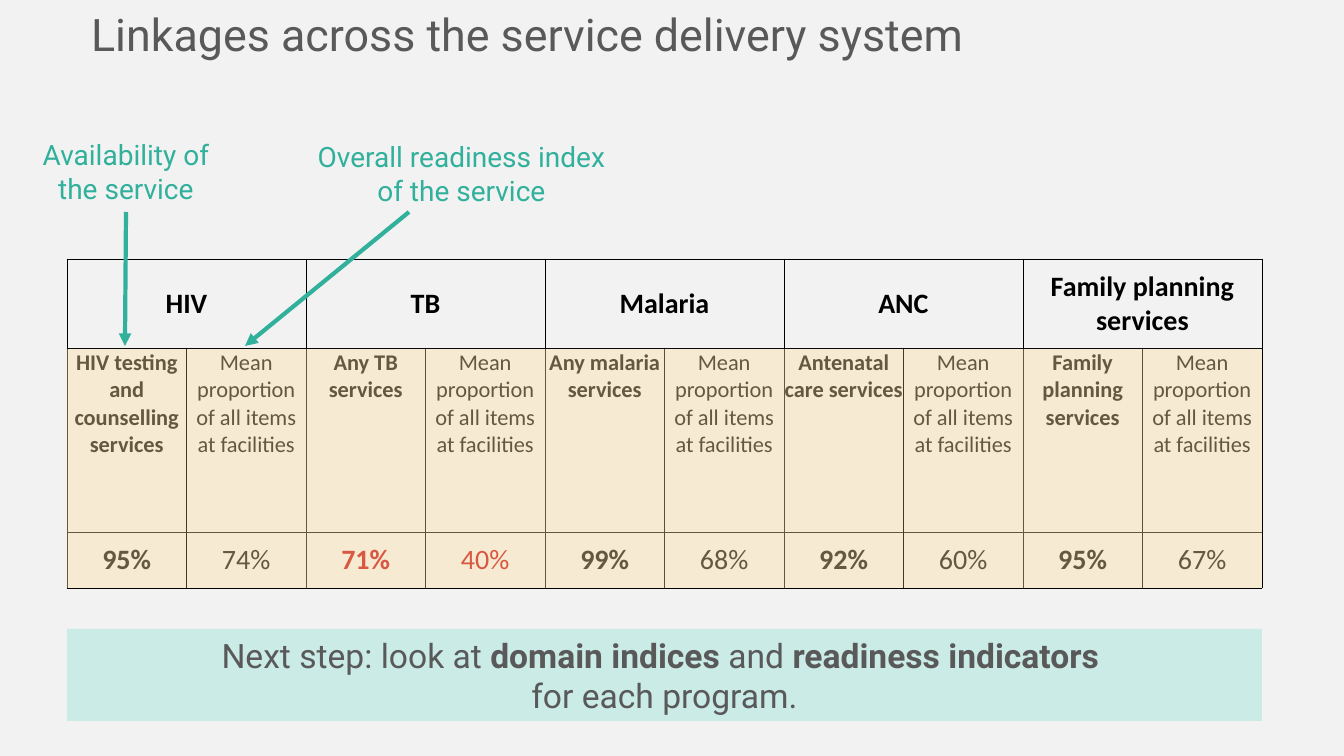
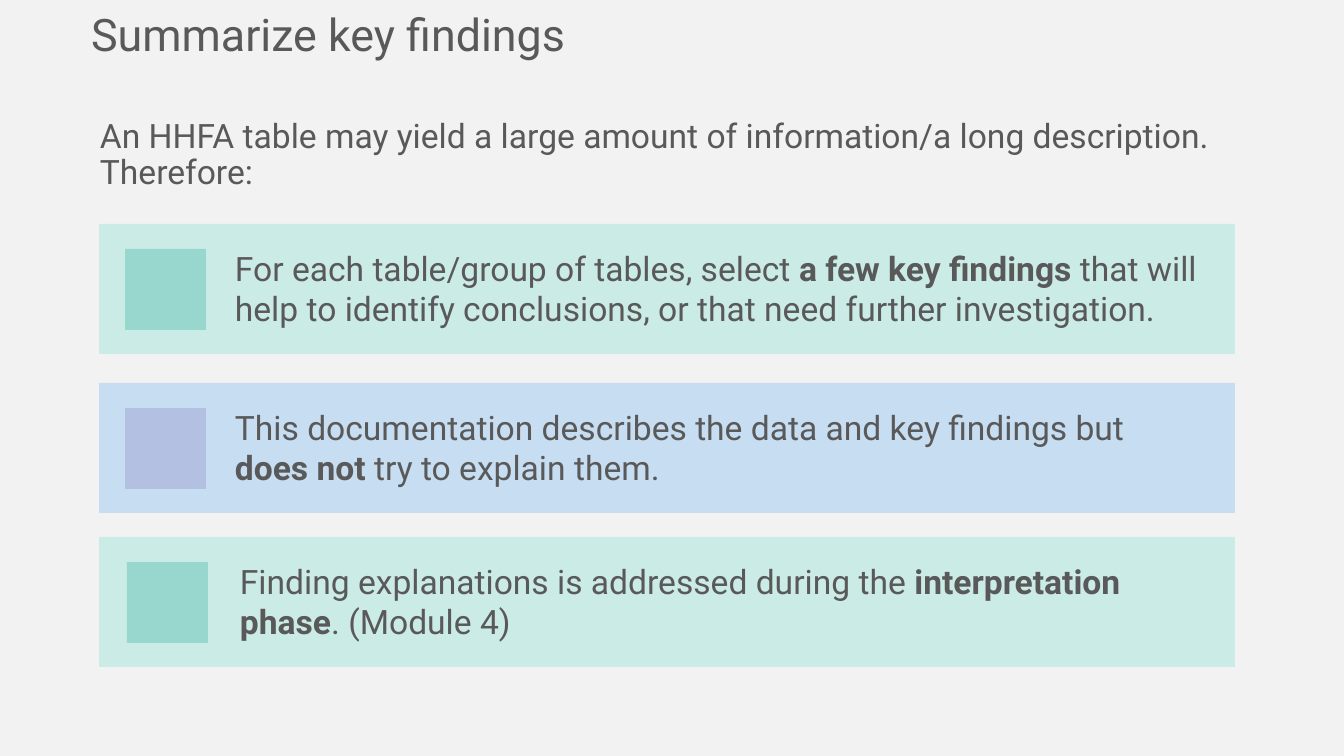
from lxml.etree import SubElement
from pptx import Presentation
from pptx.dml.color import RGBColor
from pptx.enum.shapes import MSO_CONNECTOR, MSO_SHAPE
from pptx.enum.text import MSO_ANCHOR as ANCHOR, MSO_AUTO_SIZE as AUTO_SIZE, PP_ALIGN as ALIGN
from pptx.oxml.ns import qn
from pptx.util import Emu, Pt

COLORS = {
    "page": "F2F2F2",
    "text": "595959",
    "black": "000000",
    "alert": "C00000",
    "accent": "31B09C",
    "mint": "CBEBE6",
    "teal": "98D7CE",
    "sky": "C7DDF1",
    "periwinkle": "B3C0E2",
    "tint": "FDDEA3",
}


def px(*lengths):
    return [Emu(round(length * 914400 / 100.8)) for length in lengths]


def write(frame, text, size, color="text", align=ALIGN.LEFT, font="Roboto"):
    frame.word_wrap = True
    para = frame.paragraphs[0]
    para.alignment = align
    for index, piece in enumerate(text.split("**")):
        for number, line in enumerate(piece.split("\n")):
            if number:
                para.add_line_break()
            if line:
                span = para.add_run()
                span.text = line
                span.font.name = font
                span.font.size = Pt(size)
                span.font.bold = index % 2 == 1
                span.font.color.rgb = RGBColor.from_string(COLORS[color])
    return para


deck = Presentation()
deck.slide_width, deck.slide_height = px(1344, 756)
background = deck.slide_master.background.fill
background.solid()
background.fore_color.rgb = RGBColor.from_string(COLORS["page"])

pages = []
for heading in ["Linkages across the service delivery system", "Summarize key findings"]:
    page = deck.slides.add_slide(deck.slide_layouts[5])
    title = page.shapes.title
    title.left, title.top, title.width, title.height = px(81, 2, 1248, 65)
    title.text_frame.auto_size = AUTO_SIZE.NONE
    title.text_frame.vertical_anchor = ANCHOR.TOP
    write(title.text_frame, heading, 32)
    pages.append(page)
linkages, findings = pages

programs = [
    ("HIV", "HIV testing and counselling services", "95%", "74%", "black"),
    ("TB", "Any TB services", "71%", "40%", "alert"),
    ("Malaria", "Any malaria services", "99%", "68%", "black"),
    ("ANC", "Antenatal care services", "92%", "60%", "black"),
    ("Family planning services", "Family planning services", "95%", "67%", "black"),
]
table = linkages.shapes.add_table(3, 10, *px(67, 259, 1195, 329)).table
table.first_row = False
table.horz_banding = False
for row, height in zip(table.rows, px(89, 184, 56)):
    row.height = height
for column in table.columns:
    column.width = px(1195)[0] // 10
for cell in table.iter_cells():
    cell.margin_left = cell.margin_right = cell.margin_bottom = 0
    cell.margin_top = px(1)[0]
    cell.vertical_anchor = ANCHOR.MIDDLE
    properties = cell._tc.get_or_add_tcPr()
    for side in ["a:lnL", "a:lnR", "a:lnT", "a:lnB"]:
        border = SubElement(properties, qn(side), w="6350")
        solid = SubElement(border, qn("a:solidFill"))
        SubElement(solid, qn("a:srgbClr"), val=COLORS["black"])
    cell.fill.background()

for index, (program, service, available, ready, color) in enumerate(programs):
    left = 2 * index
    table.cell(0, left).merge(table.cell(0, left + 1))
    entries = [
        (0, left, f"**{program}**", 20, "black"),
        (1, left, f"**{service}**", 16, "black"),
        (1, left + 1, "Mean proportion of all items at facilities", 16, "black"),
        (2, left, f"**{available}**", 20, color),
        (2, left + 1, ready, 20, color),
    ]
    for row, column, text, size, shade in entries:
        cell = table.cell(row, column)
        write(cell.text_frame, text, size, shade, ALIGN.CENTER, "Calibri")
        if row == 1:
            cell.vertical_anchor = ANCHOR.TOP

rectangles = [
    (linkages, (67 + 119.5 * column, 349, 119.5, 239), "tint") for column in range(10)
]
rectangles.append((linkages, (67, 629, 1195, 92), "mint"))
cards = [
    (224, 125, 225, 1004, "mint", "teal",
     "For each table/group of tables, select **a few key findings **that will help to "
     "identify conclusions, or that need further investigation."),
    (383, 125, 225, 989, "sky", "periwinkle",
     "This documentation describes the data and key findings but \n"
     "**does not **try to explain them."),
    (537, 127, 230, 964, "mint", "teal",
     "Finding explanations is addressed during the **interpretation phase**. (Module 4)"),
]
for top, icon_left, text_left, width, fill, icon_fill, text in cards:
    rectangles.append((findings, (99, top, 1136, 130), fill))
    rectangles.append((findings, (icon_left, top + 25, 81, 81), icon_fill))

for page, place, color in rectangles:
    box = page.shapes.add_shape(MSO_SHAPE.RECTANGLE, *px(*place))
    box.shadow.inherit = False
    box.line.fill.background()
    box.fill.solid()
    box.fill.fore_color.rgb = RGBColor.from_string(COLORS[color])
    if color == "tint":
        tint = box.element.spPr.find(qn("a:solidFill"))[0]
        SubElement(tint, qn("a:alpha"), val="40000")
    elif page is linkages:
        write(
            box.text_frame,
            "Next step: look at **domain indices **and **readiness indicators \n**"
            "for each program.",
            24, align=ALIGN.CENTER,
        )

callouts = [
    ("Availability of the service", (14, 133, 224, 78), (126, 212, 125, 346)),
    ("Overall readiness index of the service", (297, 135, 329, 78), (409, 212, 245, 346)),
]
for text, place, ends in callouts:
    box = linkages.shapes.add_textbox(*px(*place))
    write(box.text_frame, text, 20, "accent", ALIGN.CENTER)
    arrow = linkages.shapes.add_connector(MSO_CONNECTOR.STRAIGHT, *px(*ends))
    arrow.line.width = Pt(3)
    arrow.line.color.rgb = RGBColor.from_string(COLORS["accent"])
    properties = arrow.element.spPr
    SubElement(properties.find(qn("a:ln")), qn("a:tailEnd"), type="triangle")
    SubElement(properties, qn("a:effectLst"))

intro = findings.shapes.add_textbox(*px(90, 114, 1154, 84))
para = write(
    intro.text_frame,
    "An HHFA table may yield a large amount of information/a long description.\nTherefore:",
    24,
)
para.line_spacing = 0.9
for top, icon_left, text_left, width, fill, icon_fill, text in cards:
    box = findings.shapes.add_textbox(*px(text_left, top + 19, width, 92))
    write(box.text_frame, text, 24)

deck.save("out.pptx")
